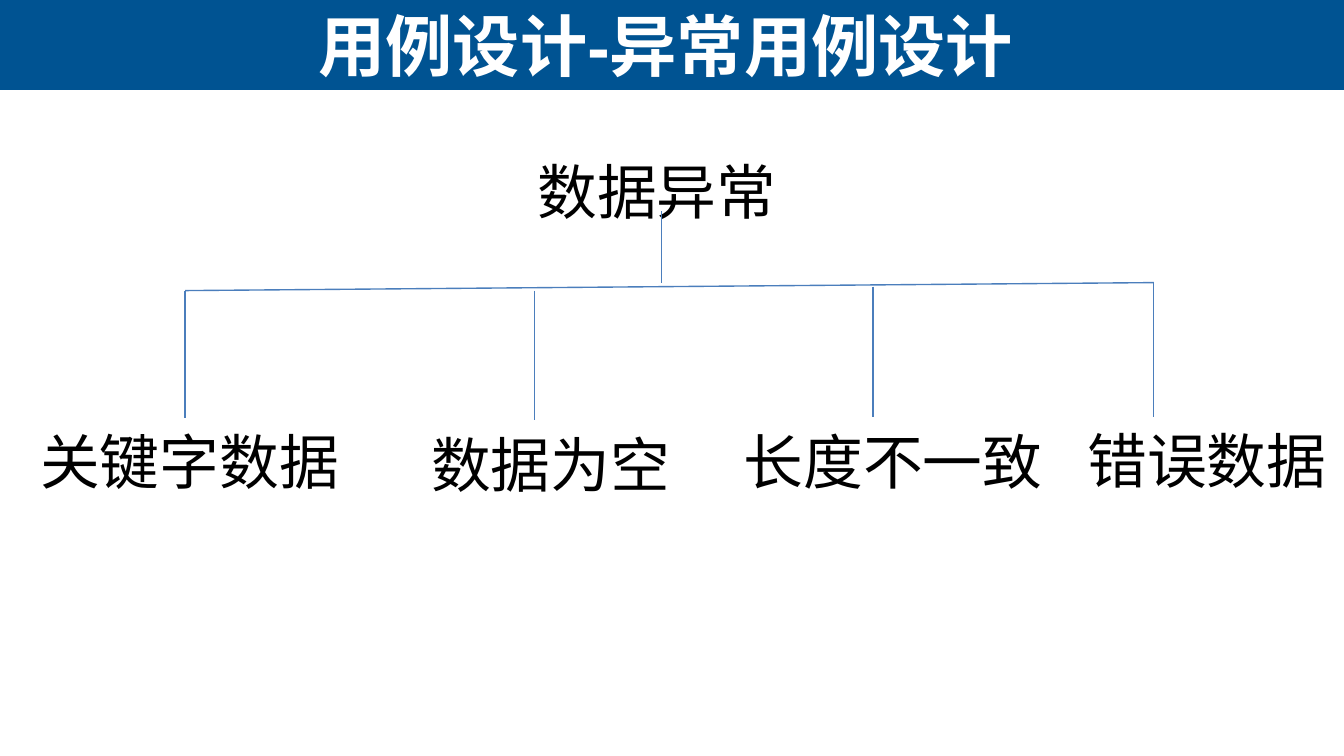
"""Build a slide with a tree of abnormal-data test cases."""
from lxml import etree
from pptx import Presentation
from pptx.dml.color import RGBColor
from pptx.enum.shapes import MSO_CONNECTOR, MSO_SHAPE
from pptx.enum.text import MSO_ANCHOR, MSO_AUTO_SIZE, PP_ALIGN
from pptx.oxml.ns import qn
from pptx.util import Pt

STRAIGHT = MSO_CONNECTOR.STRAIGHT
RECTANGLE = MSO_SHAPE.RECTANGLE
MIDDLE = MSO_ANCHOR.MIDDLE
CENTER = PP_ALIGN.CENTER
NO_FIT = MSO_AUTO_SIZE.NONE
GROW = MSO_AUTO_SIZE.SHAPE_TO_FIT_TEXT

COLORS = {"band": "005392", "title": "FFFFFF", "text": "000000", "line": "4B7EBC"}
BAND_HEIGHT = 48.24
LABEL_HEIGHT = 46


def add_text(paragraph, text, size, font, color, bold=False):
    run = paragraph.add_run()
    run.text = text
    run.font.size = Pt(size)
    run.font.name = font
    run.font.bold = bold
    run.font.color.rgb = RGBColor.from_string(COLORS[color])


presentation = Presentation()
presentation.slide_width = Pt(720)
presentation.slide_height = Pt(405)
slide = presentation.slides.add_slide(presentation.slide_layouts[5])

title = slide.shapes.title
title.left, title.top, title.width, title.height = Pt(1.4), Pt(0), Pt(710.6), Pt(BAND_HEIGHT)
title.text_frame.auto_size = NO_FIT
title.text_frame.vertical_anchor = MIDDLE
title_paragraph = title.text_frame.paragraphs[0]
title_paragraph.alignment = CENTER
add_text(title_paragraph, "用例设计-异常用例设计", 36, "Arial", "title", True)

band = slide.shapes.add_shape(RECTANGLE, Pt(0), Pt(0), Pt(720), Pt(BAND_HEIGHT))
band.shadow.inherit = False
band.fill.solid()
band.fill.fore_color.rgb = RGBColor.from_string(COLORS["band"])
band.line.fill.background()
title.element.addprevious(band.element)

labels = [
    ("数据异常", 280.8, 79.2, 226.8),
    ("关键字数据", 14.4, 223.9, 226.8),
    ("数据为空", 223.9, 225.4, 226.8),
    ("长度不一致", 391.3, 223.9, 226.8),
    ("错误数据", 575.4, 223.5, 161.3),
]
for text, left, top, width in labels:
    label = slide.shapes.add_textbox(Pt(left), Pt(top), Pt(width), Pt(LABEL_HEIGHT))
    label.text_frame.word_wrap = True
    label.text_frame.auto_size = GROW
    add_text(label.text_frame.paragraphs[0], text, 32, "Calibri", "text")

crossbar = (99.2, 155.7, 618.1, 151.4)
drops = [
    (99.2, 155.7, 223.9),
    (286.4, 155.7, 225.1),
    (467.8, 153.6, 223.4),
    (618.1, 151.4, 223.4),
    (354.3, 113.2, 151.4),
]
for ends in [crossbar] + [(x, top, x, bottom) for x, top, bottom in drops]:
    connector = slide.shapes.add_connector(STRAIGHT, *[Pt(value) for value in ends])
    connector.line.width = Pt(0.75)
    connector.line.color.rgb = RGBColor.from_string(COLORS["line"])
    etree.SubElement(connector.element.spPr, qn("a:effectLst"))

presentation.save("out.pptx")
